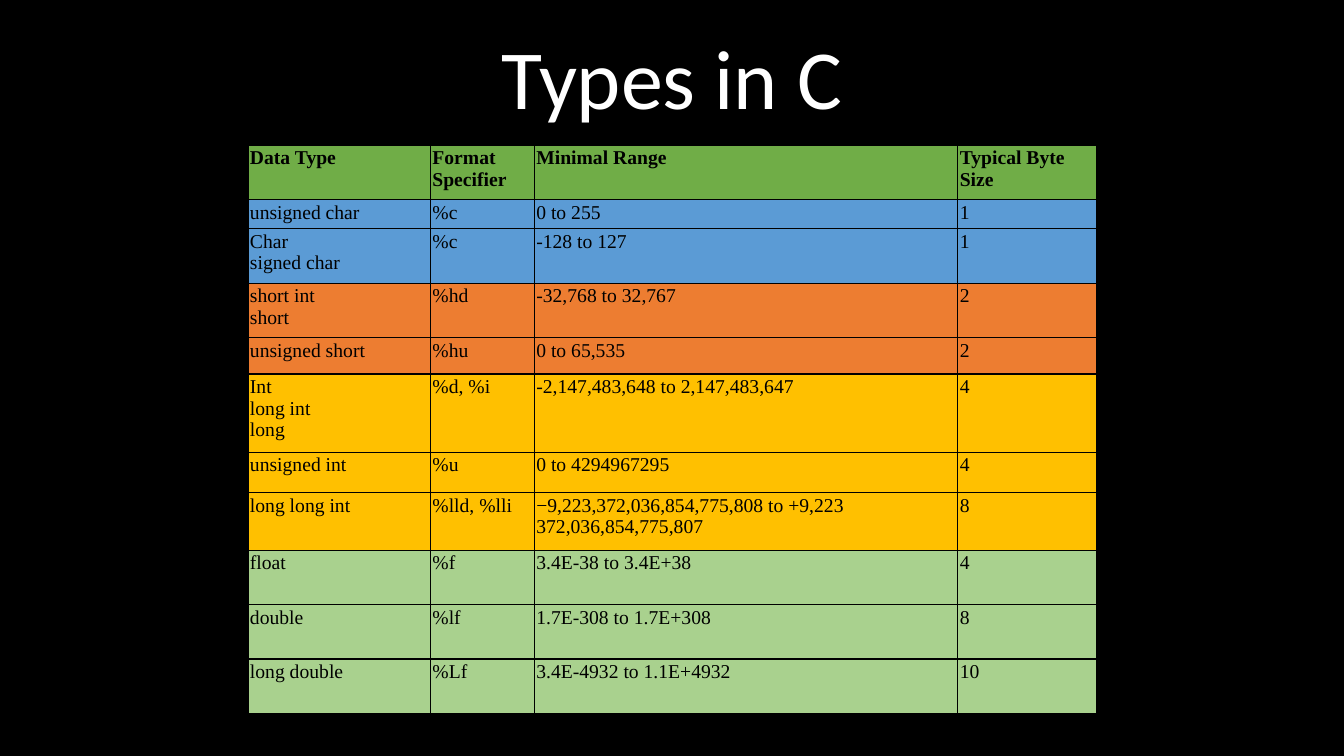
from dataclasses import dataclass

from pptx import Presentation, oxml, util as u
from pptx.dml.color import RGBColor
from pptx.enum import text
from pptx.oxml.ns import qn
from lxml import etree

WIDTH, HEIGHT = u.Inches(13.33), u.Inches(7.5)

COLOURS = {
    "black": "000000",
    "white": "FFFFFF",
    "header": "70AD47",
    "char": "5B9BD5",
    "short": "ED7D31",
    "int": "FFC000",
    "float": "A9D18E",
}


@dataclass(frozen=True)
class TypeRow:
    family: str
    height: float  # percent of the slide's height
    cells: tuple[str, str, str, str]


# Column widths in percent of the slide's width
COLUMNS = (13.58, 7.73, 31.51, 10.35)
ROWS = (
    TypeRow("header", 7.2, ("Data Type", "Format Specifier", "Minimal Range", "Typical Byte Size")),
    TypeRow("char", 3.87, ("unsigned char", "%c", "0 to 255", "1")),
    TypeRow("char", 7.2, ("Char\nsigned char", "%c", "-128 to 127", "1")),
    TypeRow("short", 7.2, ("short int\nshort", "%hd", "-32,768 to 32,767", "2")),
    TypeRow("short", 4.8, ("unsigned short", "%hu", "0 to 65,535", "2")),
    TypeRow("int", 10.4, ("Int\nlong int\nlong", "%d, %i", "-2,147,483,648 to 2,147,483,647", "4")),
    TypeRow("int", 5.33, ("unsigned int", "%u", "0 to 4294967295", "4")),
    TypeRow("int", 7.6, ("long long int", "%lld, %lli",
                         "−9,223,372,036,854,775,808 to +9,223 372,036,854,775,807", "8")),
    TypeRow("float", 7.2, ("float", "%f", "3.4E-38 to 3.4E+38", "4")),
    TypeRow("float", 7.2, ("double", "%lf", "1.7E-308 to 1.7E+308", "8")),
    TypeRow("float", 7.2, ("long double", "%Lf", "3.4E-4932 to 1.1E+4932", "10")),
)


def across(percent: float) -> int:
    return round(WIDTH * percent / 100)


def down(percent: float) -> int:
    return round(HEIGHT * percent / 100)


def paint(fill, colour: str) -> None:
    fill.solid()
    fill.fore_color.rgb = RGBColor.from_string(COLOURS[colour])


def write(frame, words: str, *, font: str, size: float, colour: str, bold: bool = False,
          align=text.PP_ALIGN.LEFT, spacing: float = 1.0) -> None:
    """Write each line of words as a paragraph in one format."""
    frame.word_wrap = True
    for index, line in enumerate(words.split("\n")):
        para = frame.add_paragraph() if index else frame.paragraphs[0]
        para.alignment, para.line_spacing = align, spacing
        span = para.add_run()
        span.text = line
        span.font.name, span.font.size, span.font.bold = font, u.Pt(size), bold
        span.font.color.rgb = RGBColor.from_string(COLOURS[colour])


def add_borders(cell, colour: str, points: float) -> None:
    properties = cell._tc.get_or_add_tcPr()
    for side in ("a:lnL", "a:lnR", "a:lnT", "a:lnB"):
        line = etree.SubElement(properties, qn(side), w=str(u.Pt(points)))
        fill = etree.SubElement(line, qn("a:solidFill"))
        etree.SubElement(fill, qn("a:srgbClr"), val=COLOURS[colour])


def add_title(page, words: str) -> None:
    box = page.shapes.add_textbox(across(13.58), down(2), across(72.84), down(15.6))
    box.text_frame.vertical_anchor = text.MSO_ANCHOR.BOTTOM
    write(box.text_frame, words, font="Calibri", size=60, colour="white",
          align=text.PP_ALIGN.CENTER, spacing=0.9)


def add_type_table(page, rows: tuple[TypeRow, ...]) -> None:
    frame = page.shapes.add_table(
        len(rows), len(COLUMNS), across(18.45), down(19.2),
        across(sum(COLUMNS)), down(sum(row.height for row in rows)))
    table = frame.table
    table.first_row = table.horz_banding = False
    for column, width in zip(table.columns, COLUMNS):
        column.width = across(width)
    for table_row, row in zip(table.rows, rows):
        table_row.height = down(row.height)
        for cell, words in zip(table_row.cells, row.cells):
            cell.margin_left = cell.margin_right = u.Inches(0.02)
            cell.margin_top = cell.margin_bottom = u.Inches(0.02)
            add_borders(cell, "black", 1)
            paint(cell.fill, row.family)
            write(cell.text_frame, words, font="Times New Roman", size=14,
                  colour="black", bold=row.family == "header")


def main() -> None:
    deck = Presentation()
    deck.slide_width, deck.slide_height = WIDTH, HEIGHT
    page = deck.slides.add_slide(deck.slide_layouts[6])
    paint(page.background.fill, "black")
    add_title(page, "Types in C")
    add_type_table(page, ROWS)
    deck.save("out.pptx")


if __name__ == "__main__":
    main()
